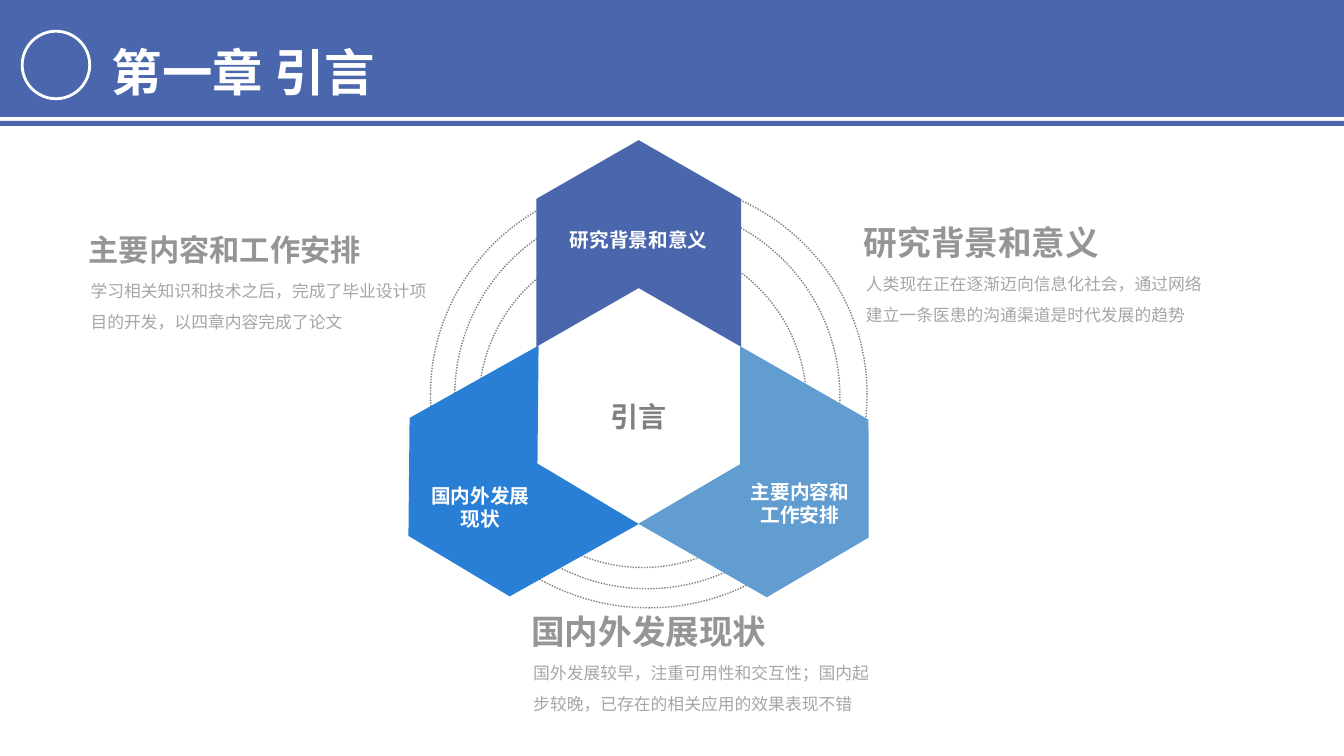
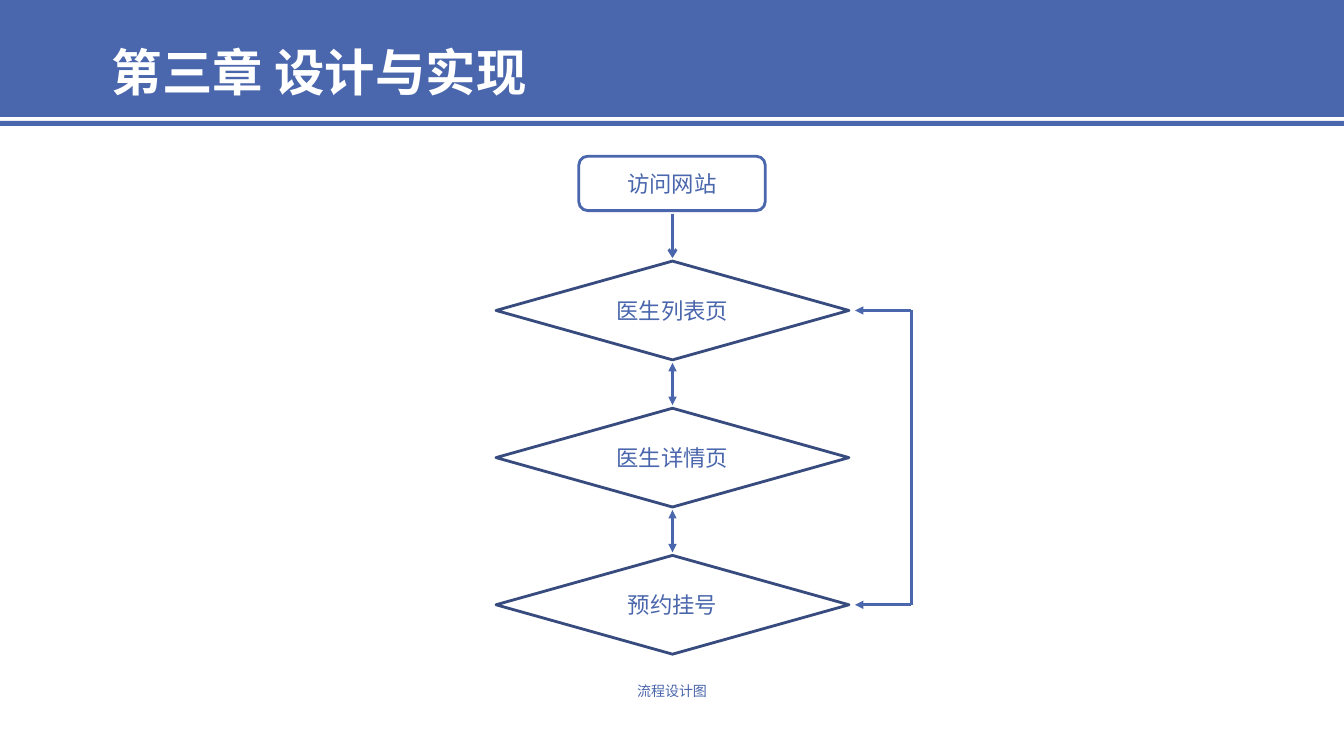
from dataclasses import dataclass

from lxml import etree
from pptx import Presentation
from pptx.dml.color import RGBColor
from pptx.enum.dml import MSO_LINE
from pptx.enum.shapes import MSO_CONNECTOR, MSO_SHAPE
from pptx.enum.text import MSO_ANCHOR, PP_ALIGN
from pptx.oxml.ns import qn
from pptx.util import Inches, Pt

RECT = MSO_SHAPE.RECTANGLE
ROUND_RECT = MSO_SHAPE.ROUNDED_RECTANGLE
OVAL = MSO_SHAPE.OVAL
CHEVRON = MSO_SHAPE.CHEVRON
DIAMOND = MSO_SHAPE.DIAMOND
STRAIGHT = MSO_CONNECTOR.STRAIGHT
DOTTED = MSO_LINE.ROUND_DOT
LEFT, CENTER = PP_ALIGN.LEFT, PP_ALIGN.CENTER
TOP, MIDDLE = MSO_ANCHOR.TOP, MSO_ANCHOR.MIDDLE

WHITE = RGBColor(0xFF, 0xFF, 0xFF)
BLUE = RGBColor(0x4A, 0x66, 0xAC)
NAVY = RGBColor(0x37, 0x4B, 0x7F)
BRIGHT_BLUE = RGBColor(0x29, 0x7F, 0xD5)
LIGHT_BLUE = RGBColor(0x62, 0x9D, 0xD1)
GRAY = RGBColor(0x80, 0x80, 0x80)
HEADING_GRAY = RGBColor(0x95, 0x95, 0x95)
BODY_GRAY = RGBColor(0xA6, 0xA6, 0xA6)

FONT = "Noto Sans CJK SC"
SLIDE_W, SLIDE_H = 13.33, 7.5


@dataclass(frozen=True)
class Box:
    x: float
    y: float
    w: float
    h: float


@dataclass(frozen=True)
class Style:
    size: float
    color: RGBColor
    bold: bool = False
    align: PP_ALIGN = LEFT
    anchor: MSO_ANCHOR = TOP
    spacing: float = 1.0
    before: float = 0


@dataclass(frozen=True)
class Petal:
    box: Box
    rotation: float
    color: RGBColor
    label: str
    label_box: Box


@dataclass(frozen=True)
class Note:
    x: float
    y: float
    heading: str
    body: str
    size: float = 24


TITLE = Style(36, WHITE, bold=True, spacing=1.5)
HUB = Style(20, GRAY, bold=True, align=CENTER)
PETAL_LABEL = Style(14, WHITE, bold=True, align=CENTER)
BODY = Style(12, BODY_GRAY, spacing=1.5, before=2.4)
STEP = Style(16, BLUE, align=CENTER, anchor=MIDDLE)
CAPTION = Style(10, BLUE, align=CENTER)

RINGS = [
    Box(4.27, 1.79, 4.33, 4.24),
    Box(4.51, 2.02, 3.82, 3.82),
    Box(4.75, 2.38, 3.25, 3.25),
]
PETALS = [
    Petal(Box(3.92, 3.8, 2.05, 2.03), 150.7, BRIGHT_BLUE,
          "国内外发展现状", Box(4.13, 4.75, 1.27, 0.57)),
    Petal(Box(5.31, 1.4, 2.05, 2.03), 270, BLUE,
          "研究背景和意义", Box(5.22, 2.21, 2.23, 0.34)),
    Petal(Box(6.7, 3.81, 2.05, 2.03), 29.8, LIGHT_BLUE,
          "主要内容和工作安排", Box(7.3, 4.71, 1.27, 0.57)),
]
NOTES = [
    Note(8.47, 2.11, "研究背景和意义",
         "人类现在正在逐渐迈向信息化社会，通过网络建立一条医患的沟通渠道是时代发展的趋势"),
    Note(5.17, 5.97, "国内外发展现状",
         "国外发展较早，注重可用性和交互性；国内起步较晚，已存在的相关应用的效果表现不错"),
    Note(0.78, 2.18, "主要内容和工作安排",
         "学习相关知识和技术之后，完成了毕业设计项目的开发，以四章内容完成了论文", 21.6),
]

PAGES = ["医生列表页", "医生详情页", "预约挂号"]
FLOW_X = 6.67
PAGE_W, PAGE_H = 3.5, 0.98
PAGE_TOP, PAGE_PITCH = 2.59, 1.46
LOOP_X = 9.04
ARROW_GAP = 0.03


def write(shape, text: str, style: Style) -> None:
    tf = shape.text_frame
    tf.word_wrap = True
    tf.vertical_anchor = style.anchor
    p = tf.paragraphs[0]
    p.text = text
    p.alignment = style.align
    p.line_spacing = style.spacing
    p.space_before = Pt(style.before)
    p.font.name = FONT
    p.font.size = Pt(style.size)
    p.font.bold = style.bold
    p.font.color.rgb = style.color
    props = p._p.find(qn("a:pPr")).find(qn("a:defRPr"))
    etree.SubElement(props, qn("a:ea")).set("typeface", FONT)


def add_text(s, box: Box, text: str, style: Style) -> None:
    tb = s.shapes.add_textbox(Inches(box.x), Inches(box.y), Inches(box.w), Inches(box.h))
    write(tb, text, style)


def add_shape(s, kind, box: Box, fill: RGBColor | None = None,
              line: RGBColor | None = None, width: float = 2):
    sp = s.shapes.add_shape(kind, Inches(box.x), Inches(box.y), Inches(box.w), Inches(box.h))
    sp.shadow.inherit = False
    if fill is None:
        sp.fill.background()
    else:
        sp.fill.solid()
        sp.fill.fore_color.rgb = fill
    if line is None:
        sp.line.fill.background()
    else:
        sp.line.color.rgb = line
        sp.line.width = Pt(width)
    return sp


def add_line(s, x1: float, y1: float, x2: float, y2: float,
             head: str = "", tail: str = "") -> None:
    c = s.shapes.add_connector(STRAIGHT, Inches(x1), Inches(y1), Inches(x2), Inches(y2))
    c.line.color.rgb = BLUE
    c.line.width = Pt(2)
    ln = c.line._get_or_add_ln()
    for tag, kind in (("a:headEnd", head), ("a:tailEnd", tail)):
        if kind:
            etree.SubElement(ln, qn(tag)).set("type", kind)
    etree.SubElement(c._element.spPr, qn("a:effectLst"))


def add_slide(prs, title: str):
    s = prs.slides.add_slide(prs.slide_layouts[6])
    add_shape(s, RECT, Box(0, 0, SLIDE_W, 1.16), BLUE)
    add_shape(s, RECT, Box(0, 1.2, SLIDE_W, 0.05), BLUE)
    add_text(s, Box(1.01, 0.06, 6.24, 1.01), title, TITLE)
    return s


def add_note(s, note: Note) -> None:
    heading = Style(note.size, HEADING_GRAY, bold=True, anchor=MIDDLE)
    add_text(s, Box(note.x + 0.02, note.y + 0.46, 3.65, 0.87), note.body, BODY)
    add_text(s, Box(note.x, note.y, 3.15, 0.58), note.heading, heading)


def build_introduction(prs) -> None:
    s = add_slide(prs, "第一章 引言")
    add_shape(s, OVAL, Box(0.22, 0.31, 0.67, 0.67), BLUE, WHITE)
    for ring in RINGS:
        add_shape(s, OVAL, ring, line=GRAY, width=1).line.dash_style = DOTTED
    for petal in PETALS:
        sp = add_shape(s, CHEVRON, petal.box, petal.color)
        sp.adjustments[0] = 0.287
        sp.rotation = petal.rotation
    for petal in PETALS:
        add_text(s, petal.label_box, petal.label, PETAL_LABEL)
    add_text(s, Box(5.32, 3.91, 2.03, 0.44), "引言", HUB)
    for note in NOTES:
        add_note(s, note)


def build_flow(prs) -> None:
    s = add_slide(prs, "第三章 设计与实现")
    start = Box(5.74, 1.55, 1.85, 0.54)
    write(add_shape(s, ROUND_RECT, start, WHITE, BLUE), "访问网站", STEP)

    tops = [PAGE_TOP + i * PAGE_PITCH for i in range(len(PAGES))]
    for page, top in zip(PAGES, tops):
        box = Box(FLOW_X - PAGE_W / 2, top, PAGE_W, PAGE_H)
        write(add_shape(s, DIAMOND, box, line=NAVY), page, STEP)

    add_line(s, FLOW_X, start.y + start.h + ARROW_GAP, FLOW_X, PAGE_TOP - ARROW_GAP,
             tail="arrow")
    for upper, lower in zip(tops, tops[1:]):
        add_line(s, FLOW_X, upper + PAGE_H + ARROW_GAP, FLOW_X, lower - ARROW_GAP,
                 head="triangle", tail="triangle")

    first, last = (top + PAGE_H / 2 for top in (tops[0], tops[-1]))
    for y in (first, last):
        add_line(s, FLOW_X + PAGE_W / 2 + 2 * ARROW_GAP, y, LOOP_X, y, head="triangle")
    add_line(s, LOOP_X, first, LOOP_X, last)
    add_text(s, Box(5.92, 6.72, 1.49, 0.27), "流程设计图", CAPTION)


def main() -> None:
    prs = Presentation()
    prs.slide_width = Inches(SLIDE_W)
    prs.slide_height = Inches(SLIDE_H)
    build_introduction(prs)
    build_flow(prs)
    prs.save("out.pptx")


if __name__ == "__main__":
    main()
